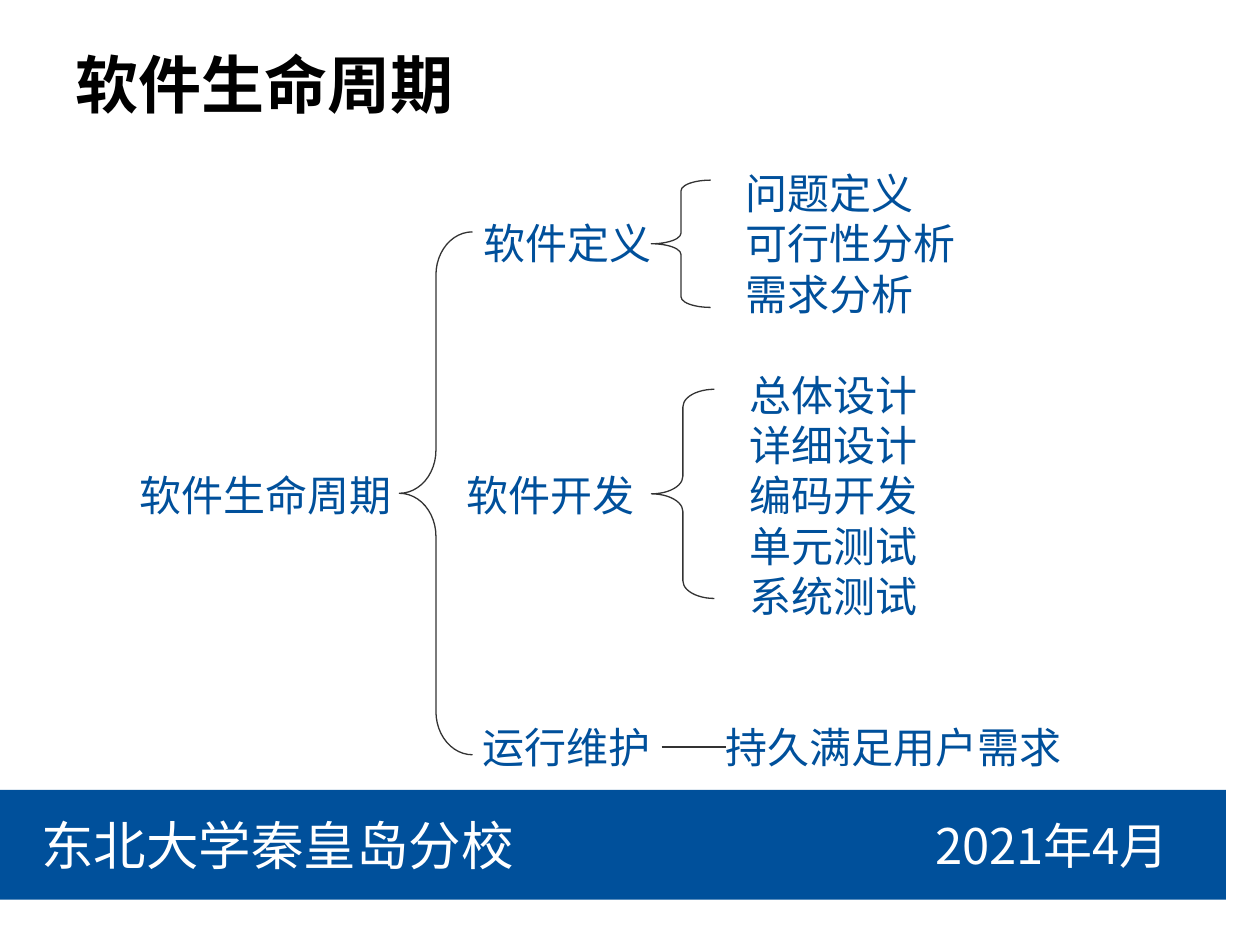
import pptx
import pptx.dml.color
import pptx.enum.shapes
import pptx.enum.text
import pptx.oxml
import pptx.oxml.ns
import pptx.util
from pptx.util import Inches

COLORS = {"blue": "00509B", "white": "FFFFFF", "black": "000000", "line": "333333"}
CJK_FONT = "Noto Sans CJK SC"
ALIGN = pptx.enum.text.PP_ALIGN
ROW_TOP, ROW_HEIGHT = 1.33, 0.4

presentation = pptx.Presentation()
presentation.slide_width = Inches(10)
presentation.slide_height = Inches(7.5)
slide = presentation.slides.add_slide(presentation.slide_layouts[5])


def write_text(shape, lines, size, color, font, align=ALIGN.LEFT, bold=False,
               spacing=None, margin=0):
    frame = shape.text_frame
    frame_format = {
        "word_wrap": True, "margin_left": Inches(margin), "margin_right": Inches(margin),
        "margin_top": 0, "margin_bottom": 0,
        "vertical_anchor": pptx.enum.text.MSO_ANCHOR.MIDDLE,
    }
    for name, value in frame_format.items():
        setattr(frame, name, value)
    frame.text = "\n".join(lines)
    for paragraph in frame.paragraphs:
        paragraph.alignment = align
        paragraph.line_spacing = spacing
        for run in paragraph.runs:
            for name, value in {"size": pptx.util.Pt(size), "name": font, "bold": bold}.items():
                setattr(run.font, name, value)
            run.font.color.rgb = pptx.dml.color.RGBColor.from_string(COLORS[color])
            east_asian = pptx.oxml.parse_xml(
                f'<a:ea {pptx.oxml.ns.nsdecls("a")} typeface="{CJK_FONT}"/>')
            run.font._element.find(pptx.oxml.ns.qn("a:latin")).addnext(east_asian)


def style_line(shape, width):
    shape.line.color.rgb = pptx.dml.color.RGBColor.from_string(COLORS["line"])
    shape.line.width = pptx.util.Pt(width)


# Footer band
band = slide.shapes.add_shape(pptx.enum.shapes.MSO_SHAPE.RECTANGLE,
                              0, Inches(6.27), Inches(9.73), Inches(0.87))
band.shadow.inherit = False
band.fill.solid()
band.fill.fore_color.rgb = pptx.dml.color.RGBColor.from_string(COLORS["blue"])
band.line.fill.background()

for text, left, width, size, align in [
    ("东北大学秦皇岛分校", 0.23, 4.2, 30, ALIGN.LEFT),
    ("2021年4月", 7.05, 2.6, 28, ALIGN.CENTER),
]:
    box = slide.shapes.add_textbox(Inches(left), Inches(6.4), Inches(width), Inches(0.61))
    write_text(box, [text], size, "white", CJK_FONT, align, margin=0.1)

# Title
title = slide.shapes.title
for name, value in {"left": 0.5, "top": 0.3, "width": 8.72, "height": 0.72}.items():
    setattr(title, name, Inches(value))
write_text(title, ["软件生命周期"], 36, "black", "Karla", bold=True, margin=0.1)

# Life cycle and its phases: text, left, width, row
labels = {}
for text, left, width, row in [
    ("软件生命周期", 1.11, 2.06, 6),
    ("软件定义", 3.84, 1.4, 1),
    ("软件开发", 3.7, 1.4, 6),
    ("运行维护", 3.83, 1.42, 11),
    ("持久满足用户需求", 5.76, 2.75, 11),
]:
    box = slide.shapes.add_textbox(Inches(left), Inches(ROW_TOP + ROW_HEIGHT * row),
                                   Inches(width), Inches(ROW_HEIGHT))
    write_text(box, [text], 24, "blue", "Times New Roman")
    labels[text] = box

# Steps of each phase
for steps, left, row in [
    (["问题定义", "可行性分析", "需求分析"], 5.92, 0),
    (["总体设计", "详细设计", "编码开发", "单元测试", "系统测试"], 5.95, 4),
]:
    box = slide.shapes.add_textbox(Inches(left), Inches(ROW_TOP + ROW_HEIGHT * row),
                                   Inches(2), Inches(ROW_HEIGHT * len(steps)))
    write_text(box, steps, 24, "blue", "Times New Roman", spacing=Inches(ROW_HEIGHT))

# Braces: left, top, width, height, curvature
for left, top, width, height, curvature in [
    (3.17, 1.84, 0.58, 4.15, 0.59),
    (5.17, 1.43, 0.47, 1.01, 0.18),
    (5.17, 3.09, 0.5, 1.66, 0.28),
]:
    brace = slide.shapes.add_shape(pptx.enum.shapes.MSO_SHAPE.LEFT_BRACE, Inches(left),
                                   Inches(top), Inches(width), Inches(height))
    brace.adjustments[0] = curvature
    brace.shadow.inherit = False
    brace.fill.background()
    style_line(brace, 0.75)

# Line from maintenance to its purpose
connector = slide.shapes.add_connector(pptx.enum.shapes.MSO_CONNECTOR.STRAIGHT,
                                       Inches(5.25), Inches(5.93), Inches(5.76), Inches(5.93))
connector.begin_connect(labels["运行维护"], 3)
connector.end_connect(labels["持久满足用户需求"], 1)
style_line(connector, 1)
connector._element.spPr.append(
    pptx.oxml.parse_xml(f'<a:effectLst {pptx.oxml.ns.nsdecls("a")}/>'))

presentation.save("out.pptx")
